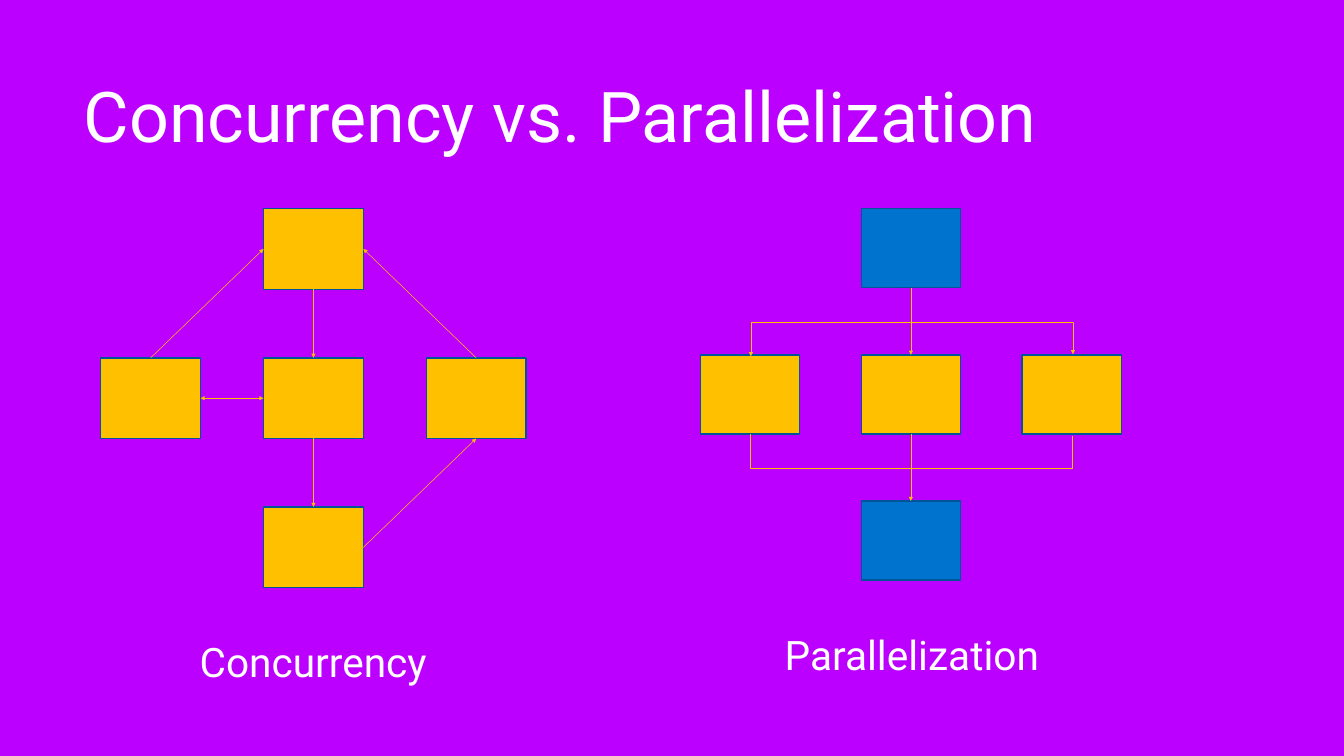
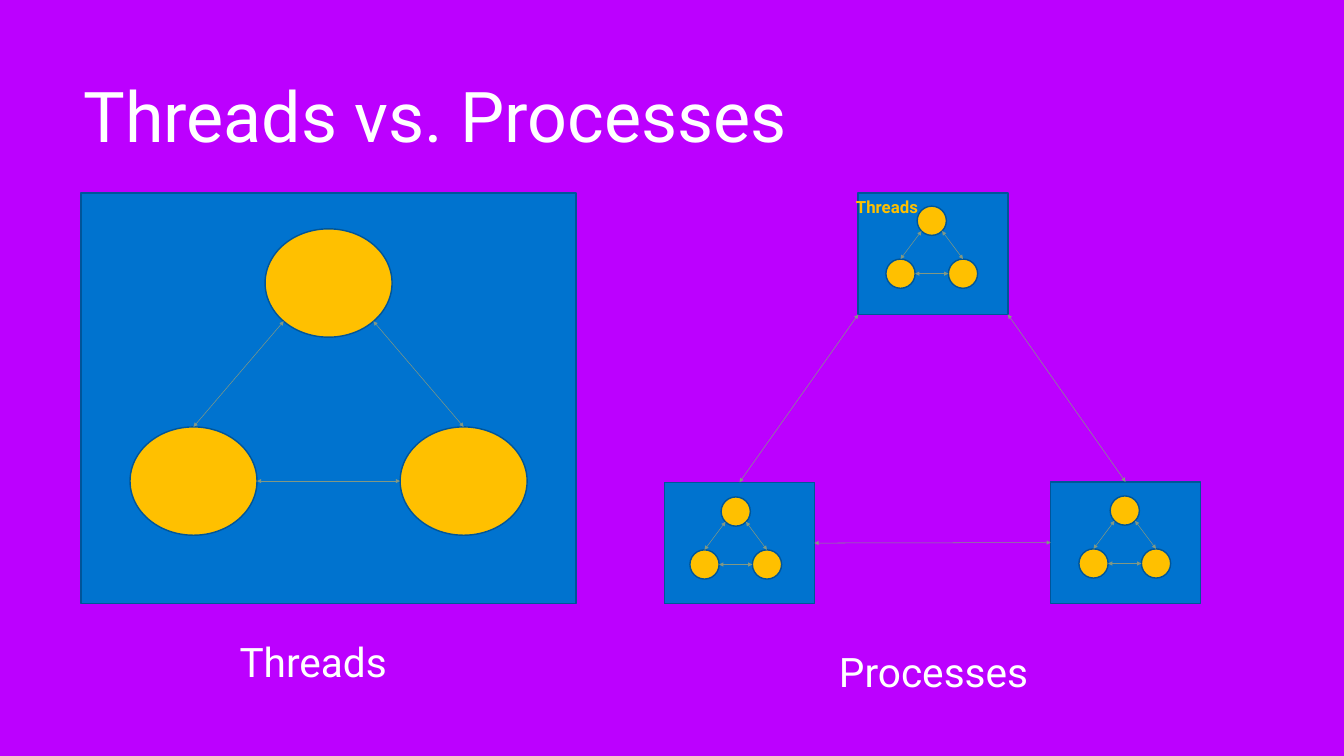
"""Build two slides comparing concurrency models with box and arrow diagrams."""
from dataclasses import dataclass
from math import sqrt

from lxml import etree
from pptx import Presentation
from pptx.dml.color import RGBColor
from pptx.enum.shapes import MSO_CONNECTOR, MSO_SHAPE
from pptx.enum.text import MSO_ANCHOR, MSO_AUTO_SIZE, PP_ALIGN
from pptx.oxml.ns import qn
from pptx.presentation import Presentation as Deck
from pptx.shapes.autoshape import Shape
from pptx.shapes.connector import Connector
from pptx.slide import Slide
from pptx.text.text import TextFrame
from pptx.util import Inches, Pt

RECTANGLE, ELLIPSE = MSO_SHAPE.RECTANGLE, MSO_SHAPE.OVAL
STRAIGHT, ELBOW = MSO_CONNECTOR.STRAIGHT, MSO_CONNECTOR.ELBOW
MIDDLE = MSO_ANCHOR.MIDDLE
LEFT_ALIGN, CENTER_ALIGN = PP_ALIGN.LEFT, PP_ALIGN.CENTER
FIXED_SIZE, GROW = MSO_AUTO_SIZE.NONE, MSO_AUTO_SIZE.SHAPE_TO_FIT_TEXT
TOP, LEFT, BOTTOM, RIGHT = range(4)
TITLE_ONLY = 5
FONT = "Roboto"
COLORS = {
    "background": "BC00FF",
    "text": "FFFFFF",
    "blue": "0073CF",
    "yellow": "FFC000",
    "outline": "005599",
    "link": "829883",
}
BRACKET_OFFSET = 0.04
BRACKET_DEPTH = 0.67
DIAGONAL = (1 - sqrt(0.5)) / 2


@dataclass(frozen=True)
class Box:
    """A rectangle in inches."""
    left: float
    top: float
    width: float
    height: float

    def point(self, across: float, down: float) -> tuple[float, float]:
        """Return the point at these fractions of the width and height."""
        return self.left + across * self.width, self.top + down * self.height


@dataclass(frozen=True)
class Label:
    """A centred text label."""
    text: str
    box: Box
    size: float = 58
    color: str = "text"
    bold: bool = False


@dataclass(frozen=True)
class Trio:
    """Three linked threads set out as a triangle."""
    left: float
    top: float
    width: float = 0.58
    height: float = 0.58
    step: float = 0.62
    drop: float = 1.05


@dataclass(frozen=True)
class Arrow:
    """Line colour and arrowheads of a connector."""
    color: str = "yellow"
    head: bool = False
    tail: bool = True


ONE_WAY = Arrow()
TWO_WAY = Arrow(head=True)
PLAIN = Arrow(tail=False)
LINK = Arrow("link", head=True)


def rgb(color: str) -> RGBColor:
    """Return the named colour."""
    return RGBColor.from_string(COLORS[color])


def format_text(frame: TextFrame, text: str, size: float, color: str = "text",
                bold: bool = False, alignment: PP_ALIGN = CENTER_ALIGN,
                side_margin: float = 0) -> None:
    """Fill a text frame with one styled line."""
    frame.text = text
    frame.word_wrap = True
    frame.vertical_anchor = MIDDLE
    frame.margin_left = frame.margin_right = Inches(side_margin)
    frame.margin_top = frame.margin_bottom = Inches(0.06)
    paragraph = frame.paragraphs[0]
    paragraph.alignment = alignment
    font = paragraph.runs[0].font
    font.name, font.size, font.bold = FONT, Pt(size), bold
    font.color.rgb = rgb(color)


def add_titled_slide(presentation: Deck, title: str) -> Slide:
    """Add a slide with its title in the shared place and style."""
    slide = presentation.slides.add_slide(presentation.slide_layouts[TITLE_ONLY])
    shape = slide.shapes.title
    shape.left, shape.top = Inches(1.61), Inches(0.39)
    shape.width, shape.height = Inches(23.44), Inches(3.75)
    format_text(shape.text_frame, title, 100, alignment=LEFT_ALIGN, side_margin=0.05)
    shape.text_frame.auto_size = FIXED_SIZE
    return slide


def add_label(slide: Slide, label: Label) -> None:
    """Add a text label."""
    box = label.box
    frame = slide.shapes.add_textbox(
        Inches(box.left), Inches(box.top), Inches(box.width), Inches(box.height)
    ).text_frame
    format_text(frame, label.text, label.size, label.color, label.bold)
    frame.auto_size = GROW


def add_block(slide: Slide, box: Box, color: str, kind: MSO_SHAPE = RECTANGLE) -> Shape:
    """Add a filled, outlined shape."""
    shape = slide.shapes.add_shape(
        kind, Inches(box.left), Inches(box.top), Inches(box.width), Inches(box.height))
    shape.shadow.inherit = False
    shape.fill.solid()
    shape.fill.fore_color.rgb = rgb(color)
    shape.line.color.rgb = rgb("outline")
    shape.line.width = Pt(2)
    return shape


def add_line(slide: Slide, start: tuple[float, float], end: tuple[float, float],
             arrow: Arrow, kind: MSO_CONNECTOR = STRAIGHT) -> Connector:
    """Add a thin connector with the arrowheads asked for."""
    connector = slide.shapes.add_connector(
        kind, Inches(start[0]), Inches(start[1]), Inches(end[0]), Inches(end[1]))
    connector.line.color.rgb = rgb(arrow.color)
    connector.line.width = Pt(0.75)
    line = connector.line._get_or_add_ln()
    for tag, shown in (("a:headEnd", arrow.head), ("a:tailEnd", arrow.tail)):
        if shown:
            etree.SubElement(line, qn(tag), type="triangle")
    etree.SubElement(connector._element.spPr, qn("a:effectLst"))
    return connector


def join(slide: Slide, start: Shape, start_side: int, end: Shape, end_side: int,
         arrow: Arrow = ONE_WAY) -> None:
    """Join the middles of two rectangle sides."""
    connector = add_line(slide, (0, 0), (0, 0), arrow)
    connector.begin_connect(start, start_side)
    connector.end_connect(end, end_side)


def add_bracket(slide: Slide, left: float, level: float, span: float,
                upward: bool, arrow: Arrow) -> None:
    """Add a turned elbow connector that spans the outer workers."""
    center = left + span / 2
    reach = span / 2 if upward else -span / 2
    connector = add_line(slide, (center + BRACKET_OFFSET / 2, level + reach),
                         (center - BRACKET_OFFSET / 2, level - reach), arrow, ELBOW)
    properties = connector._element.spPr
    properties.find(qn("a:xfrm")).set("rot", str((90 if upward else 270) * 60000))
    geometry = properties.find(qn("a:prstGeom"))
    adjustments = geometry.find(qn("a:avLst"))
    if adjustments is None:
        adjustments = etree.SubElement(geometry, qn("a:avLst"))
    bend = round(BRACKET_DEPTH / BRACKET_OFFSET * 100000)
    etree.SubElement(adjustments, qn("a:gd"), name="adj1", fmla=f"val {bend}")


def add_trio(slide: Slide, trio: Trio) -> None:
    """Add three threads and the two-way links between them."""
    left, right, peak = (
        Box(trio.left + column * trio.step, trio.top + row * trio.drop, trio.width, trio.height)
        for column, row in ((0, 1), (2, 1), (1, 0)))
    for thread in (left, right, peak):
        add_block(slide, thread, "yellow", ELLIPSE)
    add_line(slide, left.point(0.5, 0), peak.point(DIAGONAL, 1 - DIAGONAL), LINK)
    add_line(slide, peak.point(1 - DIAGONAL, 1 - DIAGONAL), right.point(0.5, 0), LINK)
    add_line(slide, right.point(0, 0.5), left.point(1, 0.5), LINK)


def draw_concurrency(slide: Slide) -> None:
    """Draw tasks that hand control to one another."""
    top, left, center, right, bottom = (
        add_block(slide, Box(2 + column * 3.23, 4.14 + row * 2.96, 1.98, 1.6), "yellow")
        for column, row in ((1, 0), (0, 1), (1, 1), (2, 1), (1, 2)))
    join(slide, center, BOTTOM, bottom, TOP)
    join(slide, left, TOP, top, LEFT)
    join(slide, top, BOTTOM, center, TOP)
    join(slide, center, LEFT, left, RIGHT, TWO_WAY)
    join(slide, bottom, RIGHT, right, BOTTOM)
    join(slide, right, TOP, top, RIGHT)
    add_label(slide, Label("Concurrency", Box(2.23, 12.57, 7.97, 1.09)))


def draw_parallelization(slide: Slide) -> None:
    """Draw work that is split between workers and gathered again."""
    source, _, worker, _, result = (
        add_block(slide, Box(13.9 + column * 3.19, 4.14 + row * 2.9, 1.97, 1.57), color)
        for column, row, color in ((1, 0, "blue"), (0, 1, "yellow"), (1, 1, "yellow"),
                                   (2, 1, "yellow"), (1, 2, "blue")))
    join(slide, source, BOTTOM, worker, TOP)
    add_bracket(slide, 14.9, 7.05, 6.39, True, TWO_WAY)
    join(slide, worker, BOTTOM, result, TOP)
    add_bracket(slide, 14.88, 8.63, 6.39, False, PLAIN)
    add_label(slide, Label("Parallelization", Box(14.11, 12.43, 7.97, 1.09)))


def draw_threads(slide: Slide) -> None:
    """Draw one process that holds three large threads."""
    add_block(slide, Box(1.61, 3.83, 9.82, 8.15), "blue")
    add_trio(slide, Trio(2.58, 4.54, 2.52, 2.15, 2.68, 3.93))
    add_label(slide, Label("Threads", Box(2.23, 12.57, 7.97, 1.09)))


def draw_processes(slide: Slide) -> None:
    """Draw three linked processes with threads of their own."""
    peak_box = Box(17.03, 3.83, 2.97, 2.41)
    add_block(slide, peak_box, "blue")
    right = add_block(slide, Box(20.85, 9.56, 2.97, 2.41), "blue")
    left = add_block(slide, Box(13.19, 9.57, 2.97, 2.41), "blue")
    corner = peak_box.point(0, 1)
    add_line(slide, corner, corner, LINK).begin_connect(left, TOP)
    corner = peak_box.point(1, 1)
    add_line(slide, corner, corner, LINK).end_connect(right, TOP)
    join(slide, right, LEFT, left, RIGHT, LINK)
    add_label(slide, Label("Processes", Box(14.54, 12.78, 7.97, 1.09)))
    for trio in (Trio(17.58, 4.09), Trio(13.69, 9.86), Trio(21.41, 9.84)):
        add_trio(slide, trio)
    add_label(slide, Label("Threads", Box(16.93, 3.84, 1.34, 0.52), 24, "yellow", True))


def main() -> None:
    """Build and save the presentation."""
    presentation = Presentation()
    presentation.slide_width, presentation.slide_height = Inches(26.67), Inches(15)
    background = presentation.slide_master.background.fill
    background.solid()
    background.fore_color.rgb = rgb("background")

    slide = add_titled_slide(presentation, "Concurrency vs. Parallelization")
    draw_concurrency(slide)
    draw_parallelization(slide)

    slide = add_titled_slide(presentation, "Threads vs. Processes")
    draw_threads(slide)
    draw_processes(slide)
    presentation.save("out.pptx")


if __name__ == "__main__":
    main()
